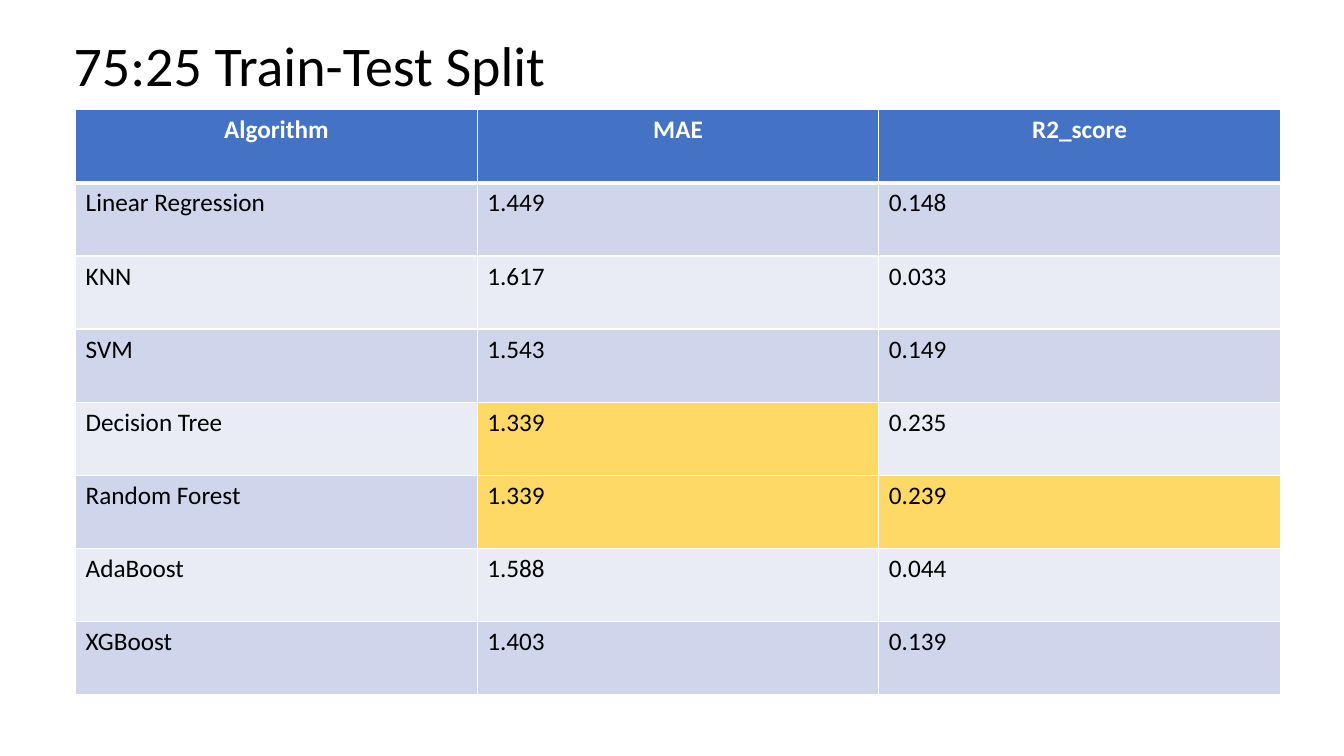
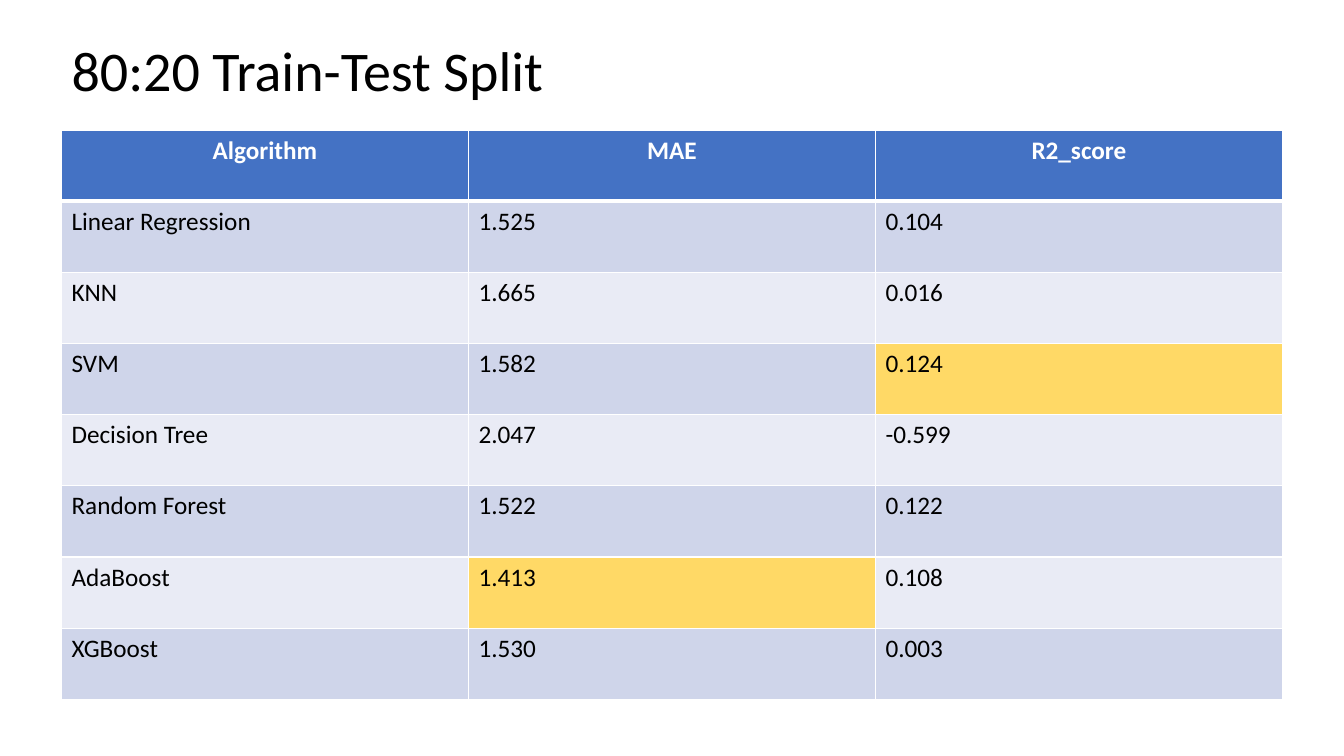
from lxml import etree
from pptx import Presentation
from pptx.dml.color import RGBColor
from pptx.enum.text import MSO_ANCHOR, MSO_AUTO_SIZE, PP_ALIGN
from pptx.oxml.ns import qn
from pptx.util import Inches, Pt

LEFT, CENTER = PP_ALIGN.LEFT, PP_ALIGN.CENTER
TOP = MSO_ANCHOR.TOP
NO_AUTOFIT = MSO_AUTO_SIZE.NONE

FONT = "Calibri"
BLACK = RGBColor(0x00, 0x00, 0x00)
WHITE = RGBColor(0xFF, 0xFF, 0xFF)
BLUE = RGBColor(0x44, 0x72, 0xC4)
BAND_DARK = RGBColor(0xCF, 0xD5, 0xEA)
BAND_LIGHT = RGBColor(0xE9, 0xEB, 0xF5)
YELLOW = RGBColor(0xFF, 0xD9, 0x66)

TITLE_ONLY = 5
HEADERS = ("Algorithm", "MAE", "R2_score")
ALGORITHMS = ("Linear Regression", "KNN", "SVM", "Decision Tree",
              "Random Forest", "AdaBoost", "XGBoost")

SPLITS = (
    {
        "title": "75:25 Train-Test Split",
        "title_at": (0.63, 0.25, 8.52, 0.8),
        "table_at": (0.75, 1.09, 11.95, 5.8),
        "mae": ("1.449", "1.617", "1.543", "1.339", "1.339", "1.588", "1.403"),
        "r2": ("0.148", "0.033", "0.149", "0.235", "0.239", "0.044", "0.139"),
    },
    {
        "title": "80:20 Train-Test Split",
        "title_at": (0.61, 0.3, 8.08, 0.8),
        "table_at": (0.61, 1.29, 12.11, 5.65),
        "mae": ("1.525", "1.665", "1.582", "2.047", "1.522", "1.413", "1.530"),
        "r2": ("0.104", "0.016", "0.124", "-0.599", "0.122", "0.108", "0.003"),
    },
)


def set_text(tf, text, size=18, color=BLACK, bold=False, align=LEFT):
    p = tf.paragraphs[0]
    p.alignment = align
    r = p.add_run()
    r.text = text
    r.font.name = FONT
    r.font.size = Pt(size)
    r.font.bold = bold
    r.font.color.rgb = color


def set_borders(cell, top=1, bottom=1):
    tcPr = cell._tc.get_or_add_tcPr()
    for side, width in (("L", 1), ("R", 1), ("T", top), ("B", bottom)):
        ln = etree.SubElement(tcPr, qn(f"a:ln{side}"), w=str(Pt(width)))
        fill = etree.SubElement(ln, qn("a:solidFill"))
        etree.SubElement(fill, qn("a:srgbClr"), val=str(WHITE))


def set_cell(cell, text, fill, top=1, bottom=1, **text_format):
    set_borders(cell, top, bottom)
    cell.fill.solid()
    cell.fill.fore_color.rgb = fill
    set_text(cell.text_frame, text, **text_format)


def add_title(s, text, at):
    sp = s.shapes.title
    sp.left, sp.top, sp.width, sp.height = map(Inches, at)
    tf = sp.text_frame
    tf.word_wrap = True
    tf.auto_size = NO_AUTOFIT
    tf.vertical_anchor = TOP
    set_text(tf, text, size=40)


def add_score_table(s, mae, r2, at):
    rows, cols = len(ALGORITHMS) + 1, len(HEADERS)
    left, top, width, height = map(Inches, at)
    table = s.shapes.add_table(rows, cols, left, top, width, height).table
    best = (None, min(mae, key=float), max(r2, key=float))

    for c, header in enumerate(HEADERS):
        set_cell(table.cell(0, c), header, BLUE, bottom=3,
                 color=WHITE, bold=True, align=CENTER)
    for i, values in enumerate(zip(ALGORITHMS, mae, r2), start=1):
        band = BAND_DARK if i % 2 else BAND_LIGHT
        for c, value in enumerate(values):
            fill = YELLOW if value == best[c] else band
            set_cell(table.cell(i, c), value, fill, top=3 if i == 1 else 1)


def add_split_slide(prs, split):
    s = prs.slides.add_slide(prs.slide_layouts[TITLE_ONLY])
    add_title(s, split["title"], split["title_at"])
    add_score_table(s, split["mae"], split["r2"], split["table_at"])


def main():
    prs = Presentation()
    prs.slide_width, prs.slide_height = Inches(13.33), Inches(7.5)
    for split in SPLITS:
        add_split_slide(prs, split)
    prs.save("out.pptx")


if __name__ == "__main__":
    main()
